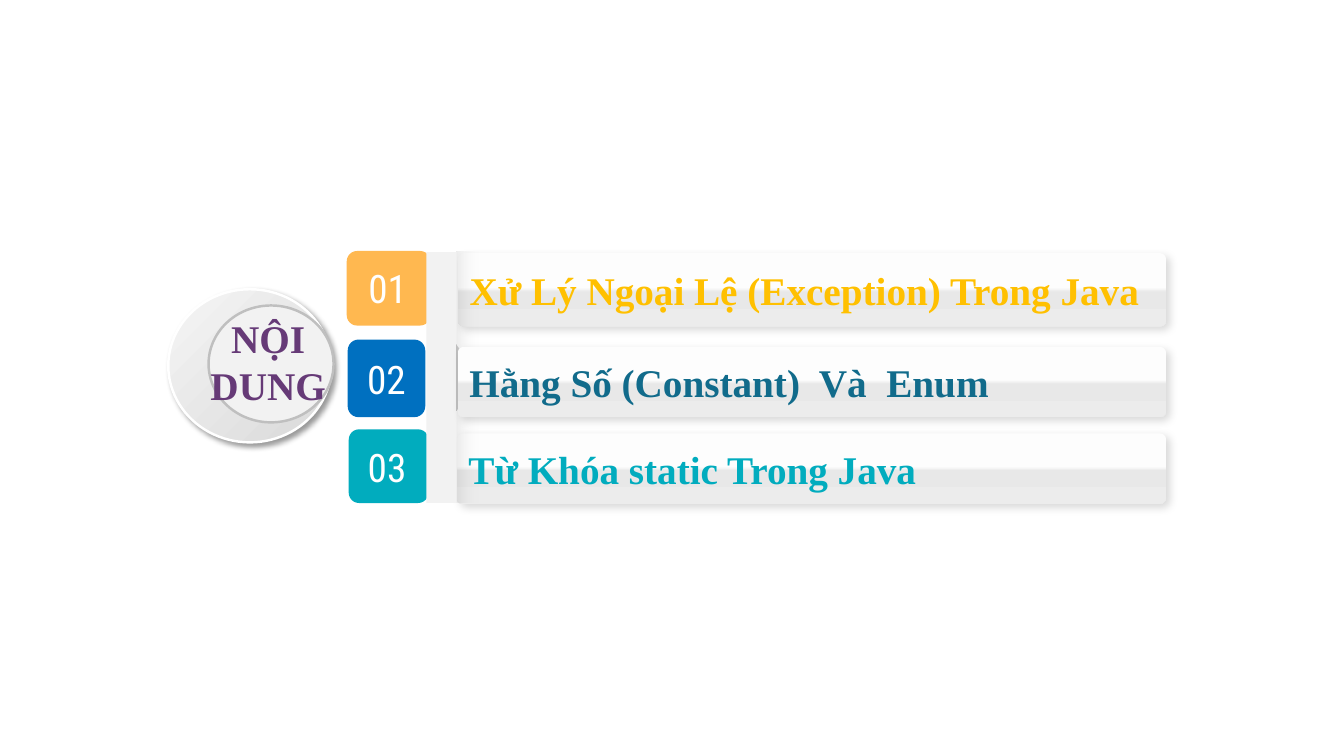
from dataclasses import dataclass

from lxml import etree
from pptx import Presentation
from pptx import util as u
from pptx.dml.color import RGBColor
from pptx.enum import shapes, text
from pptx.oxml import ns

WHITE = RGBColor(0xFF, 0xFF, 0xFF)
BLACK = RGBColor(0x00, 0x00, 0x00)
PALE = RGBColor(0xF2, 0xF2, 0xF2)
SILVER = RGBColor(0xF5, 0xF5, 0xF5)
STEEL = RGBColor(0xD9, 0xD9, 0xD9)
GREY = RGBColor(0xBF, 0xBF, 0xBF)
BAR_TOP = RGBColor(0xFD, 0xFD, 0xFD)
BAR_EDGE = RGBColor(0xE8, 0xE8, 0xE8)
BAR_BOTTOM = RGBColor(0xEC, 0xEC, 0xEC)
PURPLE = RGBColor(0x66, 0x3A, 0x77)
ORANGE = RGBColor(0xFF, 0xB8, 0x50)
GOLD = RGBColor(0xFF, 0xC0, 0x00)
BLUE = RGBColor(0x00, 0x70, 0xC0)
DARK_TEAL = RGBColor(0x11, 0x6B, 0x8B)
TEAL = RGBColor(0x01, 0xAC, 0xBE)

SERIF = "Times New Roman"
CONDENSED = "Roboto Condensed"
TEXT_SIZE = 28
TILE_ROUNDING = 0.139
BAR_ROUNDING = 0.092
KIND = shapes.MSO_SHAPE


@dataclass(frozen=True)
class Box:
    left: float
    top: float
    width: float
    height: float

    def lengths(self) -> list:
        return [u.Pt(v) for v in (self.left, self.top, self.width, self.height)]


@dataclass(frozen=True)
class Stop:
    position: int
    color: RGBColor
    opacity: int = 100


@dataclass(frozen=True)
class Gradient:
    angle: int
    stops: tuple


@dataclass(frozen=True)
class Shadow:
    opacity: int
    blur: float
    distance: float


@dataclass(frozen=True)
class Topic:
    number: str
    title: str
    tile: Box
    bar: Box
    tile_color: RGBColor
    title_color: RGBColor
    back: Box | None = None
    label: Box | None = None


BAR_FILL = Gradient(90, (Stop(47, BAR_TOP), Stop(53, BAR_EDGE), Stop(100, BAR_BOTTOM)))
BAR_SHADOW = Shadow(14, 6, 3)

FIRST = Topic("01", "Xử Lý Ngoại Lệ (Exception) Trong Java",
              Box(247.7, 179.3, 59.8, 53.3), Box(326.9, 180.7, 506.2, 52.6), ORANGE, GOLD,
              Box(250.6, 177.1, 60.5, 56.9), Box(247.7, 185, 58.3, 41))
SECOND = Topic("02", "Hằng Số (Constant)  Và  Enum",
               Box(248.4, 242.6, 55.4, 55.4), Box(326.9, 247.7, 506.2, 50.4), BLUE, DARK_TEAL)
THIRD = Topic("03", "Từ Khóa static Trong Java",
              Box(249.1, 306.7, 56.9, 52.6), Box(326.2, 309.6, 506.9, 50.4), TEAL, TEAL,
              Box(252.7, 306.7, 57.6, 56.2), Box(247.7, 313.2, 57.6, 41))


def add_color(parent, color: RGBColor, opacity: int) -> None:
    element = etree.SubElement(parent, ns.qn("a:srgbClr"), val=str(color))
    if opacity < 100:
        etree.SubElement(element, ns.qn("a:alpha"), val=str(opacity * 1000))


def fill_gradient(shape, gradient: Gradient) -> None:
    shape.fill.gradient()
    element = shape.element.spPr.find(ns.qn("a:gradFill"))
    stops = element.find(ns.qn("a:gsLst"))
    for old_stop in list(stops):
        stops.remove(old_stop)
    for stop in gradient.stops:
        entry = etree.SubElement(stops, ns.qn("a:gs"), pos=str(stop.position * 1000))
        add_color(entry, stop.color, stop.opacity)
    element.find(ns.qn("a:lin")).set("ang", str(gradient.angle * 60000))


def cast_shadow(shape, shadow: Shadow) -> None:
    effects = shape.element.spPr.find(ns.qn("a:effectLst"))
    outer = etree.SubElement(effects, ns.qn("a:outerShdw"),
                             blurRad=str(u.Pt(shadow.blur)), dist=str(u.Pt(shadow.distance)),
                             dir=str(45 * 60000), algn="tl", rotWithShape="0")
    add_color(outer, BLACK, shadow.opacity)


def add_shape(slide, kind, box: Box, fill: RGBColor | Gradient, *, line: RGBColor | None = None,
              adjust: float | None = None, shadow: Shadow | None = None, rotation: float = 0):
    shape = slide.shapes.add_shape(kind, *box.lengths())
    shape.rotation = rotation
    shape.shadow.inherit = False
    if adjust is not None:
        shape.adjustments[0] = adjust
    if isinstance(fill, Gradient):
        fill_gradient(shape, fill)
    else:
        shape.fill.solid()
        shape.fill.fore_color.rgb = fill
    if line is None:
        shape.line.fill.background()
    else:
        shape.line.color.rgb = line
        shape.line.width = u.Pt(1.75)
    if shadow:
        cast_shadow(shape, shadow)
    return shape


def write(shape, words: str, *, font: str, color: RGBColor, bold: bool = False,
          align=text.PP_ALIGN.CENTER, anchor=text.MSO_ANCHOR.MIDDLE) -> None:
    frame = shape.text_frame
    frame.word_wrap = True
    frame.vertical_anchor = anchor
    paragraph = frame.paragraphs[0]
    paragraph.alignment = align
    run = paragraph.add_run()
    run.text = words
    run.font.name = font
    run.font.size = u.Pt(TEXT_SIZE)
    run.font.bold = bold
    run.font.color.rgb = color


def add_label(slide, box: Box, words: str, **text_format) -> None:
    shape = slide.shapes.add_textbox(*box.lengths())
    write(shape, words, anchor=text.MSO_ANCHOR.TOP, **text_format)
    shape.text_frame.auto_size = text.MSO_AUTO_SIZE.SHAPE_TO_FIT_TEXT


def add_tile(slide, topic: Topic) -> None:
    if topic.back:
        add_shape(slide, KIND.ROUNDED_RECTANGLE, topic.back, WHITE, adjust=TILE_ROUNDING)
    tile = add_shape(slide, KIND.ROUNDED_RECTANGLE, topic.tile, topic.tile_color,
                     adjust=TILE_ROUNDING)
    if topic.label:
        add_label(slide, topic.label, topic.number, font=CONDENSED, color=WHITE)
    else:
        write(tile, topic.number, font=CONDENSED, color=WHITE)


def add_bar(slide, topic: Topic) -> None:
    bar = add_shape(slide, KIND.ROUNDED_RECTANGLE, topic.bar, BAR_FILL,
                    adjust=BAR_ROUNDING, shadow=BAR_SHADOW)
    write(bar, topic.title, font=SERIF, color=topic.title_color, bold=True,
          align=text.PP_ALIGN.LEFT)


def main() -> None:
    presentation = Presentation()
    presentation.slide_width, presentation.slide_height = u.Pt(960), u.Pt(540)
    slide = presentation.slides.add_slide(presentation.slide_layouts[6])

    # Heading disc
    add_shape(slide, KIND.OVAL, Box(120.2, 206.6, 116.6, 109.4),
              Gradient(45, (Stop(0, SILVER), Stop(100, STEEL))),
              line=WHITE, shadow=Shadow(40, 4, 3))
    add_shape(slide, KIND.OVAL, Box(149, 218.2, 89.3, 83.5), PALE, line=GREY)
    add_label(slide, Box(133.2, 221, 116.6, 74.9), "NỘI DUNG",
              font=SERIF, color=PURPLE, bold=True)

    # First and third topics
    for draw in (add_tile, add_bar):
        for topic in (FIRST, THIRD):
            draw(slide, topic)

    # Vertical rail with its soft shades
    add_shape(slide, KIND.RECTANGLE, Box(326.2, 180, 16.6, 179.3),
              Gradient(0, (Stop(0, BLACK, 8), Stop(100, PALE, 0))))
    add_shape(slide, KIND.RECTANGLE, Box(304.6, 180, 21.6, 179.3), PALE)
    add_shape(slide, KIND.TRAPEZOID, Box(310.3, 261.4, 47.5, 16.6),
              Gradient(90, (Stop(0, PALE, 0), Stop(100, BLACK, 21))), adjust=1.74, rotation=90)

    # Second topic, in front of the rail
    add_tile(slide, SECOND)
    add_bar(slide, SECOND)

    presentation.save("out.pptx")


if __name__ == "__main__":
    main()
